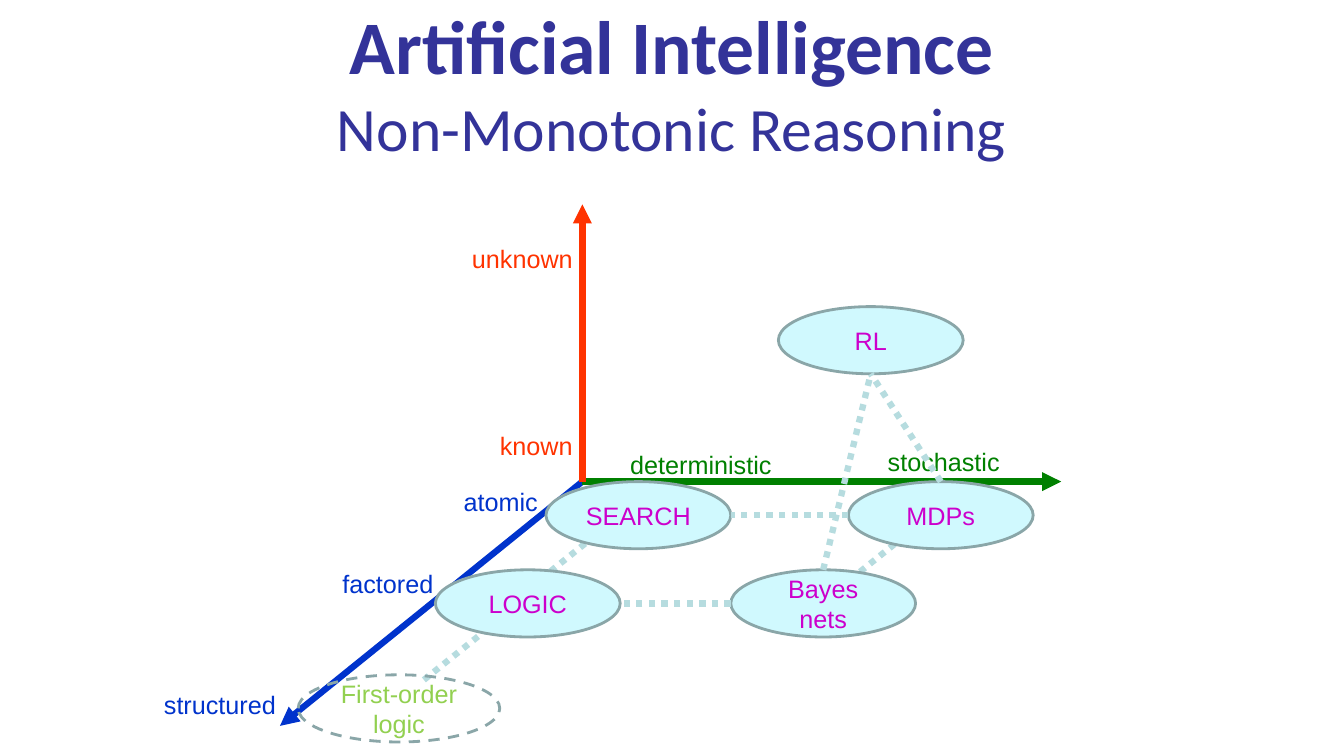
import pptx
import pptx.util
import pptx.dml.color
import pptx.enum.dml
import pptx.enum.shapes
import pptx.enum.text
import pptx.oxml.xmlchemy

Pt = pptx.util.Pt
RGBColor = pptx.dml.color.RGBColor
Dash = pptx.enum.dml.MSO_LINE
Align = pptx.enum.text.PP_ALIGN
Anchor = pptx.enum.text.MSO_ANCHOR
Element = pptx.oxml.xmlchemy.OxmlElement

NAVY = RGBColor(0x33, 0x33, 0x99)
BLUE = RGBColor(0x00, 0x33, 0xCC)
GREEN = RGBColor(0x00, 0x80, 0x00)
RED = RGBColor(0xFF, 0x33, 0x00)
PINK = RGBColor(0xCC, 0x00, 0xCC)
LIME = RGBColor(0x92, 0xD0, 0x50)
PALE = RGBColor(0xD0, 0xF9, 0xFE)
GRAY = RGBColor(0x8A, 0xA6, 0xA8)
MIST = RGBColor(0xB6, 0xDC, 0xDF)


def write(para, text, font="Arial", size=18, color=NAVY, bold=False, align=Align.LEFT):
    para.alignment = align
    run = para.add_run()
    run.text = text
    run.font.name = font
    run.font.size = Pt(size)
    run.font.bold = bold
    run.font.color.rgb = color


class Board:
    """Hold the style and the current slide, and draw each kind of element."""

    high = 48
    thick = 4.5

    def __init__(self, deck):
        self.slide = deck.slides.add_slide(deck.slide_layouts[5])
        self.shapes = self.slide.shapes

    def title(self, head, sub):
        box = self.shapes.title
        box.left, box.top, box.width, box.height = Pt(0), Pt(0), Pt(960), Pt(116)
        frame = box.text_frame
        frame.auto_size = pptx.enum.text.MSO_AUTO_SIZE.NONE
        frame.vertical_anchor = Anchor.MIDDLE
        para = frame.paragraphs[0]
        write(para, head, font="Calibri", size=54, bold=True, align=Align.CENTER)
        para.add_line_break()
        write(para, sub, font="Calibri", size=44, align=Align.CENTER)

    def line(self, start, end, color):
        kind = pptx.enum.shapes.MSO_CONNECTOR.STRAIGHT
        link = self.shapes.add_connector(kind, *map(Pt, start + end))
        link.line.color.rgb = color
        link.line.width = Pt(self.thick)
        link._element.spPr.append(Element("a:effectLst"))
        return link

    def dots(self, start, end):
        self.line(start, end, MIST).line.dash_style = Dash.ROUND_DOT

    def axis(self, start, end, color):
        link = self.line(start, end, color)
        tail = Element("a:tailEnd")
        tail.set("type", "triangle")
        link.line._get_or_add_ln().append(tail)

    def label(self, text, left, top, width, color):
        box = self.shapes.add_textbox(Pt(left), Pt(top), Pt(width), Pt(29))
        box.text_frame.word_wrap = False
        write(box.text_frame.paragraphs[0], text, color=color)

    def node(self, text, left, top, width=132, solid=True):
        kind = pptx.enum.shapes.MSO_SHAPE.OVAL
        oval = self.shapes.add_shape(kind, Pt(left), Pt(top), Pt(width), Pt(self.high))
        oval.shadow.inherit = False
        oval.line.color.rgb = GRAY
        oval.line.width = Pt(2)
        if solid:
            oval.fill.solid()
            oval.fill.fore_color.rgb = PALE
        else:
            oval.fill.background()
            oval.line.dash_style = Dash.DASH
        oval.text_frame.word_wrap = True
        oval.text_frame.vertical_anchor = Anchor.MIDDLE
        write(oval.text_frame.paragraphs[0], text, color=PINK if solid else LIME,
              align=Align.CENTER)
        mid, half = left + width / 2, top + self.high / 2
        return {"top": (mid, top), "low": (mid, top + self.high),
                "left": (left, half), "right": (left + width, half)}


def main():
    deck = pptx.Presentation()
    deck.slide_width, deck.slide_height = Pt(960), Pt(540)
    board = Board(deck)
    board.title("Artificial Intelligence", "Non-Monotonic Reasoning")

    for x, y in ((432, 377), (348.5, 449), (646, 383)):
        board.dots((x, y), (x - 48, y + 38.5))

    root = (416, 344)
    axes = (
        (BLUE, (200, 518.5), (("atomic", 324, 344, 68), ("factored", 237.5, 402.5, 80),
                              ("structured", 110, 489, 95))),
        (GREEN, (758, 344), (("deterministic", 443, 317.5, 120),
                             ("stochastic", 627, 315.5, 95))),
        (RED, (416, 146), (("known", 350, 304, 67), ("unknown", 330, 170, 87))),
    )
    for color, end, labels in axes:
        board.axis(root, end, color)
        for text, left, top, width in labels:
            board.label(text, left, top, width, color)

    learn = board.node("RL", 556, 219)
    bayes = board.node("Bayes nets", 522, 407)
    board.node("First-order logic", 213, 482, width=144, solid=False)
    logic = board.node("LOGIC", 311, 407)
    search = board.node("SEARCH", 390, 344)
    mdps = board.node("MDPs", 606, 344)

    board.dots(bayes["top"], learn["low"])
    board.dots(mdps["left"], search["right"])
    board.dots(bayes["left"], logic["right"])
    board.dots(mdps["top"], learn["low"])
    deck.save("out.pptx")


if __name__ == "__main__":
    main()
